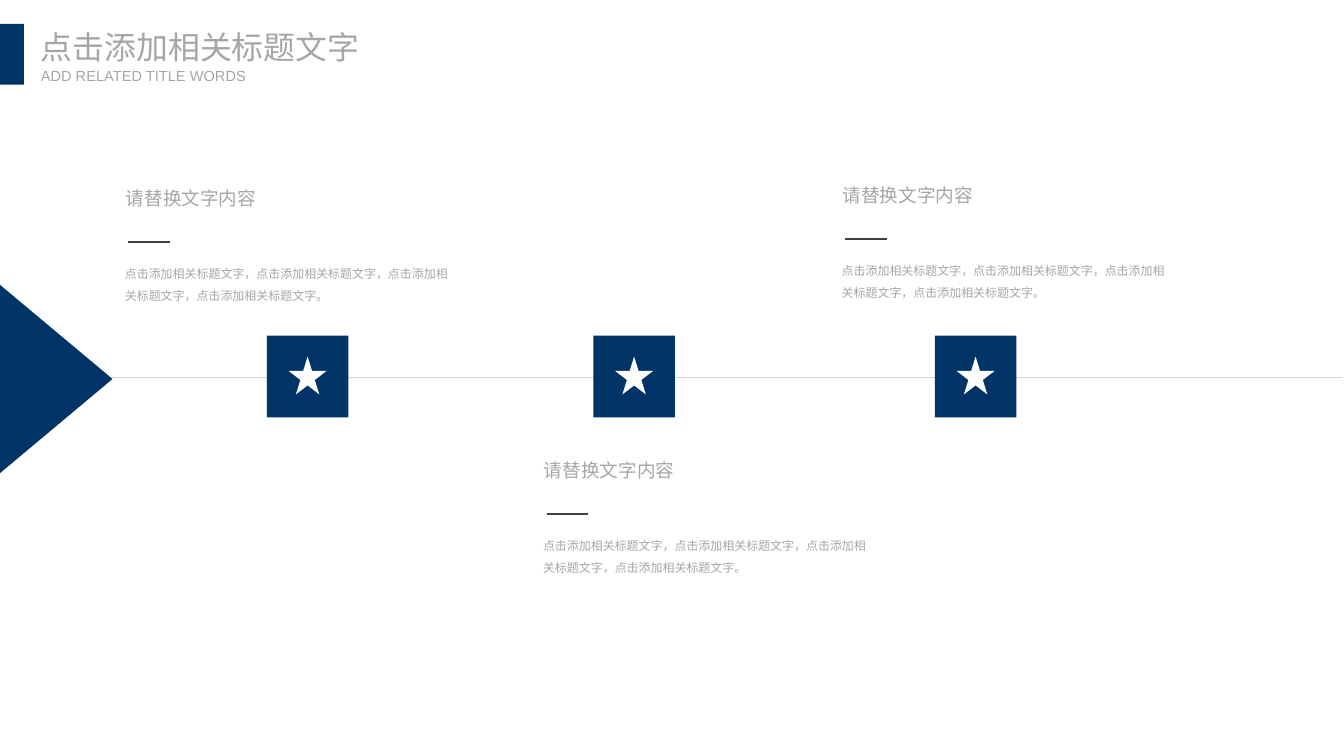
from lxml import etree
from pptx import Presentation
from pptx.dml.color import RGBColor
from pptx.enum.shapes import MSO_CONNECTOR, MSO_SHAPE
from pptx.enum.text import MSO_AUTO_SIZE
from pptx.oxml.ns import qn
from pptx.util import Pt

RECT = MSO_SHAPE.RECTANGLE
STAR = MSO_SHAPE.STAR_5_POINT
WEDGE = MSO_SHAPE.ISOSCELES_TRIANGLE
LINE = MSO_CONNECTOR.STRAIGHT
GROW = MSO_AUTO_SIZE.SHAPE_TO_FIT_TEXT

PX = 9525
WIDE, HIGH = 1350, 759
AXIS = 379
TILE, ICON = 82, 38

COLORS = {"navy": "003366", "white": "FFFFFF", "gray": "A6A6A6",
          "rail": "D5D5D5", "dark": "404040"}

PHRASE = "点击添加相关标题文字"
BODY = "，".join([PHRASE] * 4) + "。"
TILES = [268, 596, 939]
NOTES = [(116, 183), (536, 456), (836, 180)]


def color(name):
    return RGBColor.from_string(COLORS[name])


def emu(*sizes):
    return [size * PX for size in sizes]


def add_fill(shapes, kind, box, name):
    shape = shapes.add_shape(kind, *emu(*box))
    shape.shadow.inherit = False
    shape.fill.solid()
    shape.fill.fore_color.rgb = color(name)
    shape.line.fill.background()
    return shape


def add_rule(shapes, x, y, width, name):
    rule = shapes.add_connector(LINE, *emu(x, y, x + width, y))
    rule.line.color.rgb = color(name)
    rule.line.width = Pt(1)
    etree.SubElement(rule._element.spPr, qn("a:effectLst"))


def add_text(shapes, box, text, size, font, wrap=False, inset=True, space=None):
    frame = shapes.add_textbox(*emu(*box)).text_frame
    frame.word_wrap = wrap
    frame.auto_size = GROW
    if not inset:
        frame.margin_left = frame.margin_right = 0
        frame.margin_top = frame.margin_bottom = 0
    para = frame.paragraphs[0]
    if space:
        para.line_spacing = space
    run = para.add_run()
    run.text = text
    run.font.size = Pt(size)
    run.font.name = font
    run.font.color.rgb = color("gray")


def add_axis(shapes, width, height):
    wedge = add_fill(shapes, WEDGE,
                     ((height - width) // 2, AXIS + 1 - height // 2, width, height),
                     "navy")
    wedge.rotation = 90
    add_rule(shapes, height - 1, AXIS, WIDE - height - 1, "rail")


def add_tile(shapes, x, y):
    group = shapes.add_group_shape().shapes
    gap = (TILE - ICON) // 2
    add_fill(group, RECT, (x, y, TILE, TILE), "navy")
    add_fill(group, STAR, (x + gap, y + gap - 1, ICON, ICON), "white")


def add_note(shapes, x, y):
    group = shapes.add_group_shape().shapes
    add_text(group, (x, y + 73, 343, 51), BODY, 9, "Arial", wrap=True, space=1.5)
    add_rule(group, x + 13, y + 60, 42, "dark")
    add_text(group, (x + 1, y, 152, 33), "请替换文字内容", 14, "Roboto")


def add_head(shapes, x, y):
    add_fill(shapes, RECT, (x, y, 24, 61), "navy")
    add_text(shapes, (x + 41, y + 4, 324, 38), PHRASE, 24,
             "Noto Sans CJK SC", inset=False)
    add_text(shapes, (x + 41, y + 43, 209, 18), "ADD RELATED TITLE WORDS", 11,
             "Arial", inset=False)


def main():
    deck = Presentation()
    deck.slide_width, deck.slide_height = emu(WIDE, HIGH)
    shapes = deck.slides.add_slide(deck.slide_layouts[6]).shapes
    add_axis(shapes, 189, 113)
    for x in TILES:
        add_tile(shapes, x, AXIS - 1 - TILE // 2)
    for x, y in NOTES:
        add_note(shapes, x, y)
    add_head(shapes, 0, 24)
    deck.save("out.pptx")


if __name__ == "__main__":
    main()
